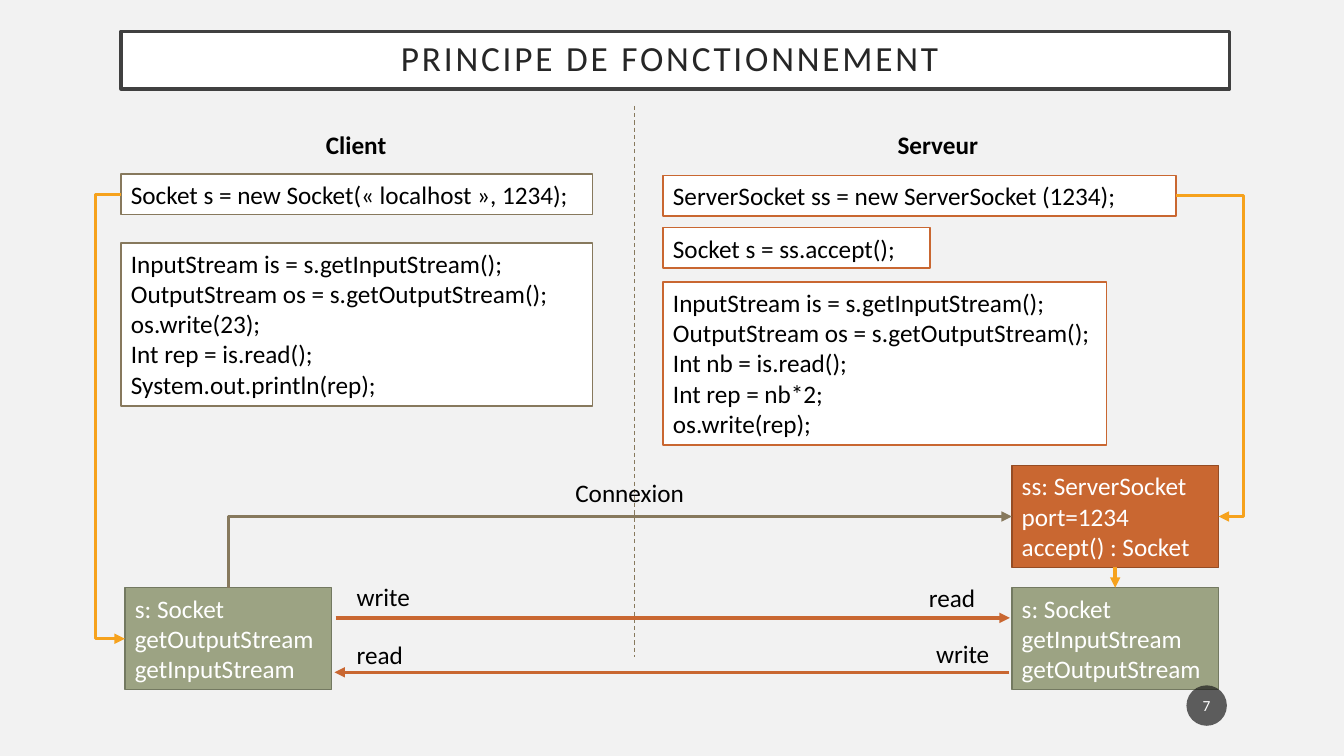
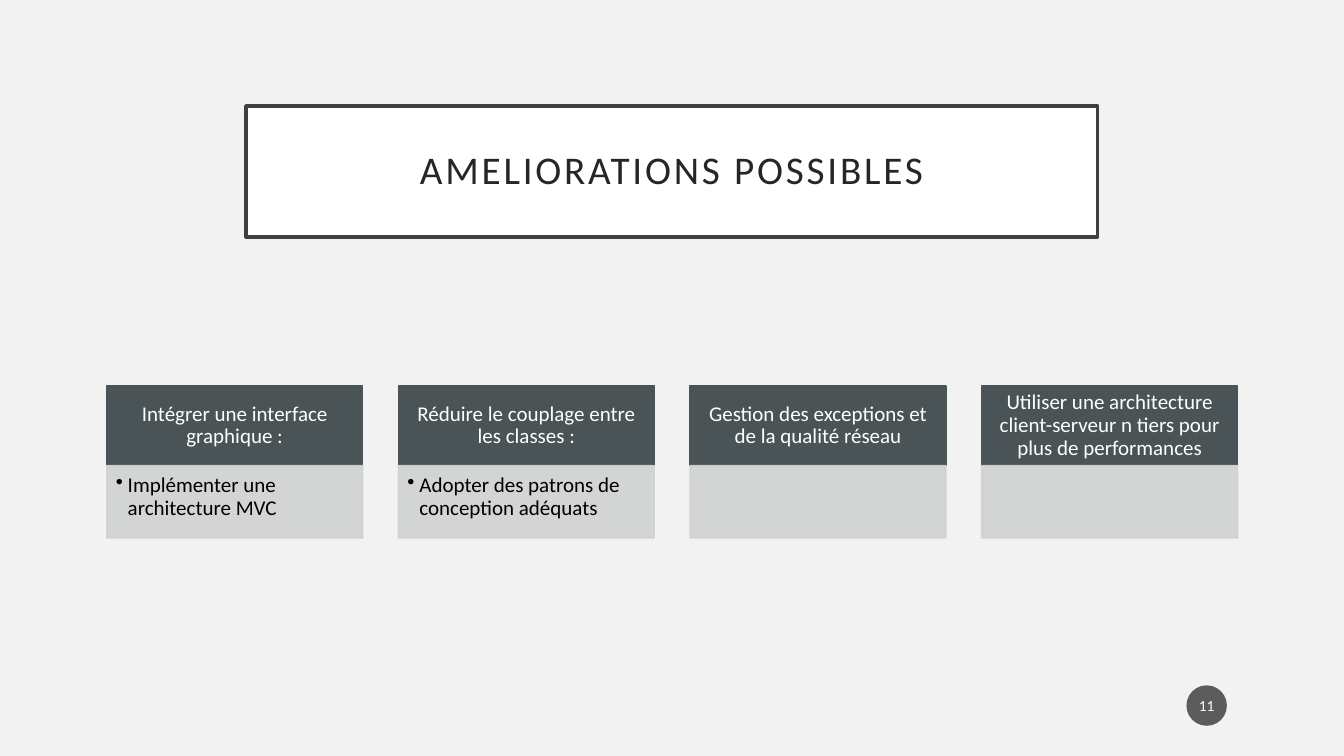
from dataclasses import dataclass

from lxml.etree import SubElement
from pptx import Presentation
from pptx.dml.color import RGBColor
from pptx.enum.dml import MSO_LINE
from pptx.enum.shapes import MSO_CONNECTOR, MSO_SHAPE
from pptx.enum.text import MSO_ANCHOR, MSO_AUTO_SIZE, PP_ALIGN
from pptx.oxml.ns import qn
from pptx.util import Cm, Pt

RECTANGLE, OVAL = MSO_SHAPE.RECTANGLE, MSO_SHAPE.OVAL
STRAIGHT, ELBOW = MSO_CONNECTOR.STRAIGHT, MSO_CONNECTOR.ELBOW
LEFT, CENTER = PP_ALIGN.LEFT, PP_ALIGN.CENTER
TOP, MIDDLE = MSO_ANCHOR.TOP, MSO_ANCHOR.MIDDLE
TOP_SITE, LEFT_SITE, BOTTOM_SITE, RIGHT_SITE = range(4)
TITLE_ONLY = 5


@dataclass(frozen=True)
class Theme:
    font: str = "Calibri"
    background: str = "F2F2F2"
    white: str = "FFFFFF"
    black: str = "000000"
    title_text: str = "262626"
    title_line: str = "404040"
    badge: str = "1D1D1D"
    brown: str = "87795D"
    orange: str = "C96731"
    dark_orange: str = "954C24"
    green: str = "9CA383"
    dark_green: str = "737961"
    amber: str = "F6A21D"
    slate: str = "4A5356"
    pale: str = "D0D1D1"
    body_size: float = 18
    card_size: float = 15
    badge_size: float = 11
    thin: float = 1
    thick: float = 2.5


THEME = Theme()
CODE_INSETS = (0.25, 0.13, 0.25, 0.13)


def rgb(code):
    return RGBColor.from_string(code)


def write(shape, text, size=THEME.body_size, color=THEME.black, bold=False,
          align=LEFT, anchor=TOP, insets=CODE_INSETS, spacing=1.0):
    frame = shape.text_frame
    frame.text = text
    frame.word_wrap = True
    frame.auto_size = MSO_AUTO_SIZE.NONE
    frame.vertical_anchor = anchor
    (frame.margin_left, frame.margin_top,
     frame.margin_right, frame.margin_bottom) = map(Cm, insets)
    for para in frame.paragraphs:
        para.alignment = align
        para.line_spacing = spacing
        for span in para.runs:
            span.font.name = THEME.font
            span.font.size = Pt(size)
            span.font.bold = bold
            span.font.color.rgb = rgb(color)


def paint(shape, fill, line=None, width=THEME.thin):
    shape.fill.solid()
    shape.fill.fore_color.rgb = rgb(fill)
    if line:
        shape.line.color.rgb = rgb(line)
        shape.line.width = Pt(width)
    else:
        shape.line.fill.background()


def set_opacity(shape, percent):
    for color in shape._element.spPr.iter(qn("a:srgbClr")):
        SubElement(color, qn("a:alpha")).set("val", str(percent * 1000))


def add_box(page, place, fill, line=None, kind=RECTANGLE):
    box = page.shapes.add_shape(kind, *map(Cm, place))
    box.shadow.inherit = False
    paint(box, fill, line)
    return box


def add_text_box(page, place, fill, line, text, **style):
    box = add_box(page, place, fill, line)
    write(box, text, **style)
    return box


def add_label(page, place, text, **style):
    write(page.shapes.add_textbox(*map(Cm, place)), text, **style)


def add_page(deck, title, place, size):
    page = deck.slides.add_slide(deck.slide_layouts[TITLE_ONLY])
    box = page.shapes.title
    box.left, box.top, box.width, box.height = map(Cm, place)
    paint(box, THEME.white, THEME.title_line, THEME.thick)
    write(box, title, size, THEME.title_text, align=CENTER, anchor=MIDDLE,
          insets=(0.5,) * 4, spacing=0.9)
    for span in box.text_frame.paragraphs[0].runs:
        span.font._element.set("spc", "200")
    return page


def add_page_number(page, number):
    badge = add_box(page, (29.9, 17.27, 1.02, 1.02), THEME.badge, kind=OVAL)
    set_opacity(badge, 70)
    write(badge, number, THEME.badge_size, THEME.white, align=CENTER,
          anchor=MIDDLE, insets=(0.05, 0.13, 0.05, 0.13))


def style_line(line, color, width=THEME.thick, arrow="tailEnd", dash=None):
    line.line.color.rgb = rgb(color)
    line.line.width = Pt(width)
    if dash:
        line.line.dash_style = dash
    properties = line._element.spPr
    if arrow:
        SubElement(properties.find(qn("a:ln")), qn("a:" + arrow)).set("type", "triangle")
    SubElement(properties, qn("a:effectLst"))


def add_line(page, ends, color, **style):
    style_line(page.shapes.add_connector(STRAIGHT, *map(Cm, ends)), color, **style)


def link(page, start, start_site, end, end_site, color, kind=ELBOW,
         preset=None, bend=None, **style):
    line = page.shapes.add_connector(kind, 0, 0, 0, 0)
    line.begin_connect(start, start_site)
    line.end_connect(end, end_site)
    geometry = line._element.spPr.find(qn("a:prstGeom"))
    if preset:
        geometry.set("prst", preset)
    if bend is not None:
        ratio = (Cm(bend) - line.begin_x) / (line.end_x - line.begin_x)
        guide = SubElement(geometry.find(qn("a:avLst")), qn("a:gd"))
        guide.set("name", "adj1")
        guide.set("fmla", f"val {round(ratio * 100000)}")
    style_line(line, color, **style)


def add_card(page, left, heading, detail):
    width, top, head_height, body_height = 6.45, 9.73, 2, 1.83
    add_text_box(page, (left, top, width, head_height), THEME.slate, THEME.slate,
                 heading, size=THEME.card_size, color=THEME.white, align=CENTER,
                 anchor=MIDDLE, insets=(0.3, 0.18, 0.3, 0.18), spacing=0.9)
    body = add_box(page, (left, top + head_height, width, body_height),
                   THEME.pale, THEME.pale)
    set_opacity(body, 90)
    if detail:
        write(body, detail, THEME.card_size, insets=(0.23, 0.23, 0.3, 0.33), spacing=0.9)
        properties = body.text_frame.paragraphs[0]._p.get_or_add_pPr()
        properties.set("marL", str(Cm(0.3)))
        properties.set("indent", str(-Cm(0.3)))
        SubElement(properties, qn("a:buChar")).set("char", "•")


def build_principle(deck):
    page = add_page(deck, "PRINCIPE DE FONCTIONNEMENT ", (3.05, 0.79, 27.94, 1.45), 25.2)
    add_line(page, (16, 2.67, 16, 16.56), THEME.brown, width=0.75, arrow=None,
             dash=MSO_LINE.DASH)
    for left, heading in ((6.93, "Client"), (21.59, "Serveur")):
        add_label(page, (left, 3.12, 4.09, 1.02), heading, bold=True, align=CENTER)

    streams = "InputStream is = s.getInputStream();\nOutputStream os = s.getOutputStream();\n"
    code_boxes = [
        add_text_box(page, place, THEME.white, line, text)
        for place, line, text in (
            ((16.71, 4.42, 12.93, 1.02), THEME.orange,
             "ServerSocket ss = new ServerSocket (1234);"),
            ((3.05, 4.39, 11.89, 1.02), THEME.brown,
             "Socket s = new Socket(« localhost », 1234);"),
            ((16.71, 5.74, 6.73, 1.02), THEME.orange, "Socket s = ss.accept();"),
            ((16.71, 7.11, 11.18, 4.11), THEME.orange,
             streams + "Int nb = is.read();\nInt rep = nb*2;\nos.write(rep);"),
            ((3.05, 6.12, 11.89, 4.11), THEME.brown,
             streams + "os.write(23);\nInt rep = is.read();\nSystem.out.println(rep);"),
        )
    ]
    server_code, client_code = code_boxes[:2]

    listener, server_socket, client_socket = [
        add_text_box(page, (left, top, 5.21, 2.57), fill, line, text, color=THEME.white)
        for left, top, fill, line, text in (
            (25.5, 11.73, THEME.orange, THEME.dark_orange,
             "ss: ServerSocket\nport=1234\naccept() : Socket"),
            (25.5, 14.81, THEME.green, THEME.dark_green,
             "s: Socket\ngetInputStream\ngetOutputStream"),
            (3.15, 14.81, THEME.green, THEME.dark_green,
             "s: Socket\ngetOutputStream\ngetInputStream"),
        )
    ]

    link(page, client_code, LEFT_SITE, client_socket, LEFT_SITE, THEME.amber, bend=2.41)
    link(page, server_code, RIGHT_SITE, listener, RIGHT_SITE, THEME.amber, bend=31.34)
    link(page, listener, BOTTOM_SITE, server_socket, TOP_SITE, THEME.amber, kind=STRAIGHT)
    link(page, listener, LEFT_SITE, client_socket, TOP_SITE, THEME.brown,
         preset="bentConnector2", arrow="headEnd")
    add_line(page, (8.46, 15.57, 25.45, 15.57), THEME.orange)
    add_line(page, (25.43, 16.94, 8.43, 16.94), THEME.orange)

    for left, top, width, text in (
        (14.25, 11.91, 5.54, "Connexion"),
        (8.74, 14.53, 2.03, "write"),
        (8.74, 15.98, 2.03, "read"),
        (23.34, 15.95, 2.03, "write"),
        (23.16, 14.55, 2.03, "read"),
    ):
        add_label(page, (left, top, width, 1.02), text)
    add_page_number(page, "7")


def build_improvements(deck):
    page = add_page(deck, "AMELIORATIONS POSSIBLES", (6.2, 2.67, 21.46, 3.3), 28)
    cards = (
        ("Intégrer une interface graphique :", "Implémenter une architecture MVC"),
        ("Réduire le couplage entre les classes :",
         "Adopter des patrons de conception adéquats"),
        ("Gestion des exceptions et de la qualité réseau", None),
        ("Utiliser une architecture client-serveur n tiers pour plus de performances", None),
    )
    for index, (heading, detail) in enumerate(cards):
        add_card(page, 2.69 + index * 7.35, heading, detail)
    add_page_number(page, "11")


def main():
    deck = Presentation()
    deck.slide_width, deck.slide_height = Cm(33.87), Cm(19.05)
    background = deck.slide_master.background.fill
    background.solid()
    background.fore_color.rgb = rgb(THEME.background)
    build_principle(deck)
    build_improvements(deck)
    deck.save("out.pptx")


if __name__ == "__main__":
    main()
